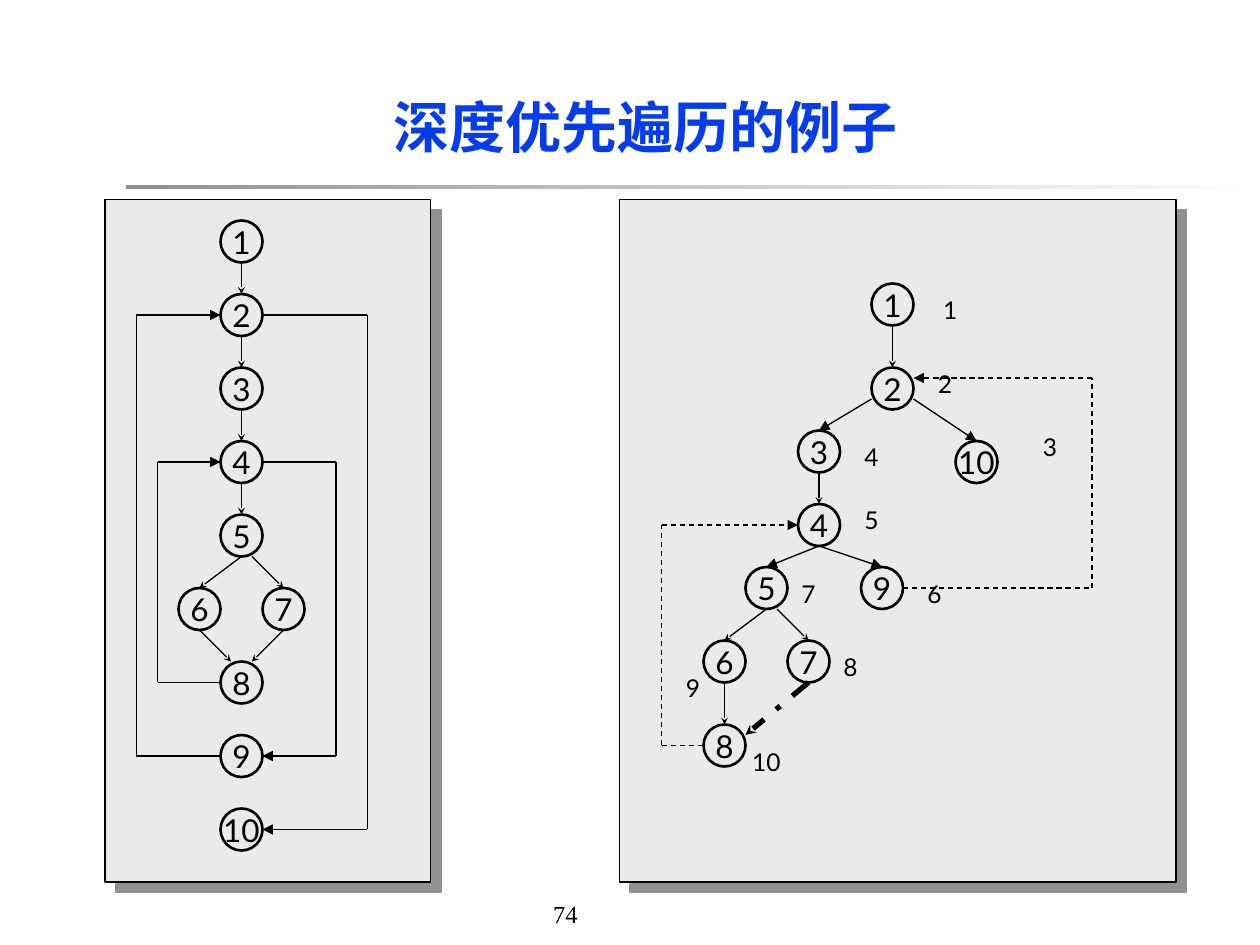
from itertools import pairwise

from lxml.etree import SubElement
from pptx import Presentation
from pptx.dml.color import RGBColor
from pptx.enum.dml import MSO_LINE_DASH_STYLE as DASH
from pptx.enum.shapes import MSO_CONNECTOR, MSO_SHAPE
from pptx.enum.text import MSO_ANCHOR, PP_ALIGN
from pptx.oxml.ns import qn
from pptx.util import Pt

PX = 9525  # 96 px to the inch
COLORS = {"title": "063DE8", "ink": "000000", "panel": "EAEAEA",
          "shade": "919191", "white": "FFFFFF"}
TITLE = "深度优先遍历的例子"
PAGE = "74"
R = 16  # node radius
TOP, BOTTOM = (0, -R), (0, R)
LEFT, RIGHT = -1, 1
HEAD_SIZES = {"stealth": "sm", "triangle": "med"}

# Node centres, by node number
FLOW = {
    "panel": (80, 152, 248, 520),
    "nodes": {n: (184, y) for n, y in zip((1, 2, 3, 4, 5, 8, 9, 10),
              (184, 240, 296, 352, 408, 520, 576, 632))}
    | {6: (152, 464), 7: (216, 464)},
    # from node, offset from its centre, to node, offset, arrowhead
    "edges": [(n, BOTTOM, n + 1, TOP, "stealth") for n in range(1, 6)]
    + [(5, (8, R), 7, TOP, "stealth"),
       (6, BOTTOM, 8, (-8, -R), "stealth"),
       (7, BOTTOM, 8, (8, -R), "stealth")],
    # from node, to node, side, x of the vertical run, offset of the end
    "loops": [(2, 10, RIGHT, 280, 0), (8, 4, LEFT, 120, 0),
              (9, 2, LEFT, 104, 0), (4, 9, RIGHT, 256, 0)],
    "loop_dash": None,
    "orders": {},
}
TREE = {
    "panel": (472, 152, 424, 520),
    "nodes": {1: (680, 232), 2: (680, 296), 3: (624, 344), 4: (624, 400),
              5: (584, 448), 6: (552, 504), 7: (616, 504), 8: (552, 568),
              9: (672, 448), 10: (744, 352)},
    "edges": [(1, BOTTOM, 2, TOP, "stealth"),
              (2, (-R, 8), 3, TOP, "triangle"),
              (2, (R, 8), 10, TOP, "triangle"),
              (3, BOTTOM, 4, TOP, "stealth"),
              (4, BOTTOM, 5, TOP, "triangle"),
              (4, BOTTOM, 9, TOP, "triangle"),
              (5, BOTTOM, 6, TOP, "stealth"),
              (5, (8, R), 7, TOP, "stealth"),
              (6, BOTTOM, 8, TOP, "stealth")],
    "loops": [(8, 4, LEFT, 504, 0), (9, 2, RIGHT, 832, -8)],
    "loop_dash": DASH.DASH,
    # Centres of the visiting-order labels
    "orders": {1: (724, 236), 2: (720, 292), 3: (800, 340), 4: (664, 348),
               5: (664, 396), 6: (712, 452), 7: (616, 452), 8: (648, 508),
               9: (528, 524), 10: (584, 580)},
}
CROSS_EDGE = (7, BOTTOM, 8, (R, -8))


def rgb(name):
    return RGBColor.from_string(COLORS[name])


def emu(*lengths):
    return [v * PX for v in lengths]


def put_text(sp, text, size, font="Lato", color="ink", bold=False,
             align=PP_ALIGN.CENTER, anchor=MSO_ANCHOR.MIDDLE, wrap=False):
    tf = sp.text_frame
    tf.text = text
    tf.word_wrap = wrap
    tf.vertical_anchor = anchor
    p = tf.paragraphs[0]
    p.alignment = align
    f = p.runs[0].font
    f.name, f.size, f.bold = font, Pt(size), bold
    f.color.rgb = rgb(color)


def add_outlined(shapes, kind, box, width):
    sp = shapes.add_shape(kind, *emu(*box))
    sp.shadow.inherit = False
    sp.fill.solid()
    sp.fill.fore_color.rgb = rgb("panel")
    sp.line.color.rgb = rgb("ink")
    sp.line.width = Pt(width)
    return sp


def add_panel(shapes, box):
    sp = add_outlined(shapes, MSO_SHAPE.RECTANGLE, box, 0.75)
    effects = sp._element.spPr.find(qn("a:effectLst"))
    shadow = SubElement(effects, qn("a:outerShdw"), dist=str(Pt(8.5)),
                        dir="2700000", algn="ctr", rotWithShape="0")
    SubElement(shadow, qn("a:srgbClr"), val=COLORS["shade"])


def add_order(shapes, n, center):
    """Label without side margins, so that two digits fit on one line."""
    x, y = center
    sp = shapes.add_textbox(*emu(x - 16, y - 12, 32, 24))
    put_text(sp, str(n), 14)
    sp.text_frame.margin_left = sp.text_frame.margin_right = 0


def add_path(shapes, points, head, width=0.75, dash=None):
    """Join the points with straight lines; the last one has the arrowhead."""
    for start, end in pairwise(points):
        c = shapes.add_connector(MSO_CONNECTOR.STRAIGHT, *emu(*start, *end))
        c.line.color.rgb = rgb("ink")
        c.line.width = Pt(width)
        if dash:
            c.line.dash_style = dash
        SubElement(c._element.spPr, qn("a:effectLst"))
    SubElement(c.line._get_or_add_ln(), qn("a:tailEnd"), type=head,
               w=HEAD_SIZES[head], len=HEAD_SIZES[head])


def shifted(point, offset):
    return point[0] + offset[0], point[1] + offset[1]


def add_graph(s, graph, cross_edge=None):
    shapes = s.shapes.add_group_shape().shapes
    nodes = graph["nodes"]
    add_panel(shapes, graph["panel"])
    for n, (x, y) in sorted(nodes.items()):
        sp = add_outlined(shapes, MSO_SHAPE.OVAL, (x - R, y - R, 2 * R, 2 * R), 1.5)
        put_text(sp, str(n), 18)
    for a, start, b, end, head in graph["edges"]:
        add_path(shapes, [shifted(nodes[a], start), shifted(nodes[b], end)], head)
    if cross_edge:
        a, start, b, end = cross_edge
        add_path(shapes, [shifted(nodes[a], start), shifted(nodes[b], end)],
                 "stealth", 3, DASH.DASH_DOT)
    for a, b, side, x, dy in graph["loops"]:
        start = shifted(nodes[a], (side * R, 0))
        end = shifted(nodes[b], (side * R, dy))
        add_path(shapes, [start, (x, start[1]), (x, end[1]), end],
                 "triangle", dash=graph["loop_dash"])
    for n, center in graph["orders"].items():
        add_order(shapes, n, center)


def main():
    prs = Presentation()
    prs.slide_width, prs.slide_height = emu(960, 720)
    s = prs.slides.add_slide(prs.slide_layouts[5])

    title = s.shapes.title
    title.left, title.top, title.width, title.height = emu(96, 48, 792, 96)
    put_text(title, TITLE, 32, "Times New Roman", "title", bold=True, wrap=True)

    page = s.shapes.add_textbox(*emu(412, 680, 98, 32))
    put_text(page, PAGE, 14, "Times New Roman", align=PP_ALIGN.LEFT,
             anchor=MSO_ANCHOR.TOP)

    rule = s.shapes.add_shape(MSO_SHAPE.RECTANGLE, *emu(96, 141, 864, 3))
    rule.shadow.inherit = False
    rule.line.fill.background()
    rule.fill.gradient()
    rule.fill.gradient_angle = 0
    for stop, color in zip(rule.fill.gradient_stops, ("shade", "white")):
        stop.color.rgb = rgb(color)

    add_graph(s, FLOW)
    add_graph(s, TREE, CROSS_EDGE)
    prs.save("out.pptx")


if __name__ == "__main__":
    main()
